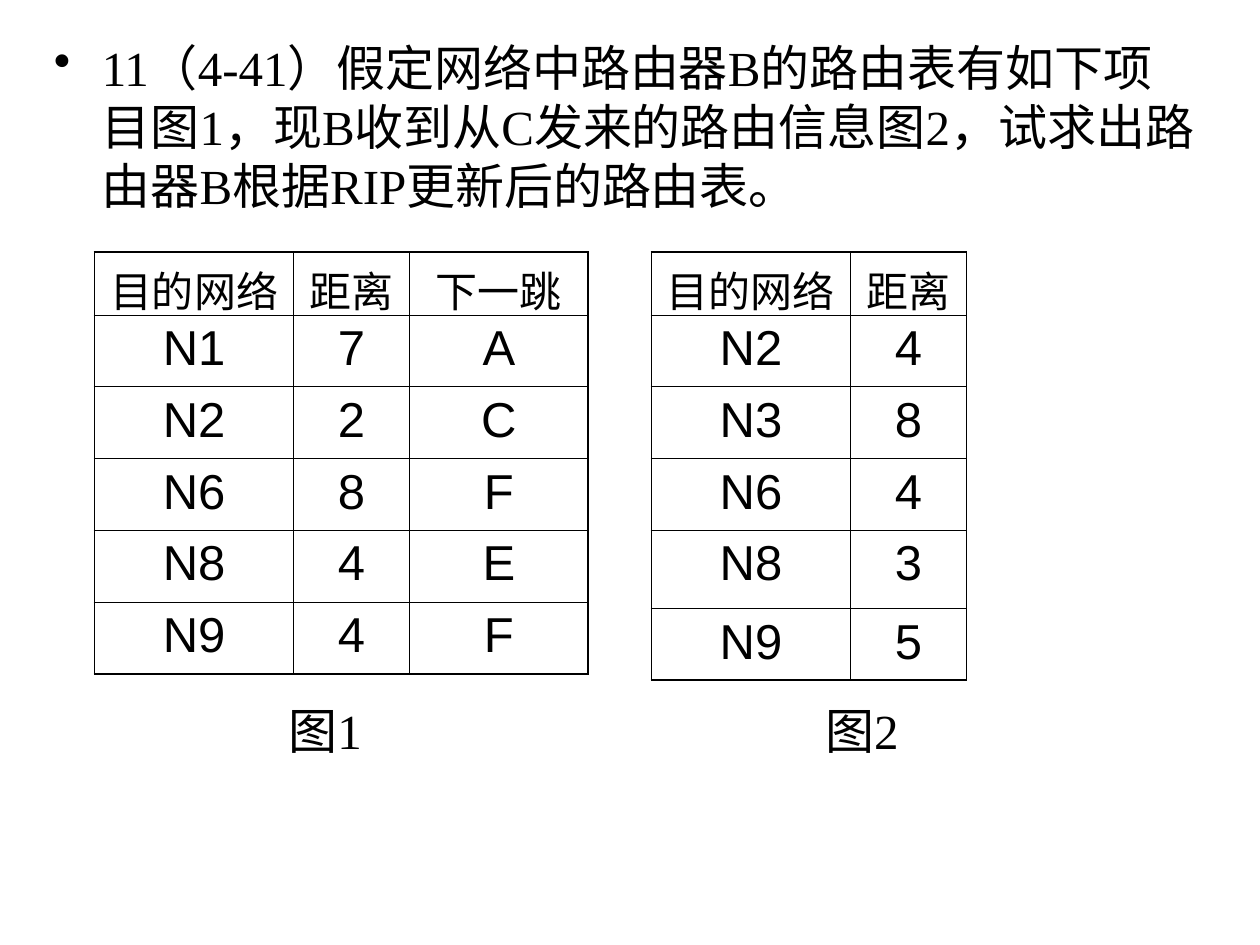
import pptx
import pptx.dml.color
import pptx.enum.text
import pptx.oxml.ns
import pptx.util
from lxml import etree
from pptx.util import Inches

COLORS = {"ink": "000000"}
SERIF = "Times New Roman"
SANS = "Arial"
THICK, THIN = 1.08, 0.45

QUESTION = ("11（4-41）假定网络中路由器B的路由表有如下项目图1，"
            "现B收到从C发来的路由信息图2，试求出路由器B根据RIP更新后的路由表。")
COLUMN_WIDTHS = [1.58, 0.92, 1.42]
TABLE_B = [
    ["目的网络", "距离", "下一跳"],
    ["N1", "7", "A"],
    ["N2", "2", "C"],
    ["N6", "8", "F"],
    ["N8", "4", "E"],
    ["N9", "4", "F"],
]
TABLE_C = [
    ["目的网络", "距离"],
    ["N2", "4"],
    ["N3", "8"],
    ["N6", "4"],
    ["N8", "3"],
    ["N9", "5"],
]


def add_element(parent, tag, **attributes):
    return etree.SubElement(parent, pptx.oxml.ns.qn(tag), attributes)


def style_paragraph(paragraph, font_name, size, space_before=0):
    paragraph.space_before = pptx.util.Pt(space_before)
    for run in paragraph.runs:
        run.font.name = font_name
        run.font.size = pptx.util.Pt(size)
        run.font.color.rgb = pptx.dml.color.RGBColor.from_string(COLORS["ink"])


def add_question(slide, left, top, width, height):
    text_frame = slide.shapes.add_textbox(left, top, width, height).text_frame
    text_frame.word_wrap = True
    text_frame.text = QUESTION
    paragraph = text_frame.paragraphs[0]
    style_paragraph(paragraph, SERIF, 28, space_before=7)
    properties = paragraph._p.get_or_add_pPr()
    properties.set("marL", str(Inches(0.38)))
    properties.set("indent", str(-Inches(0.38)))
    add_element(properties, "a:buChar", char="•")


def set_borders(cell, widths):
    """Draw the left, right, top and bottom lines with the given widths in points."""
    properties = cell._tc.get_or_add_tcPr()
    for index, (side, width) in enumerate(zip("LRTB", widths)):
        line = etree.Element(pptx.oxml.ns.qn(f"a:ln{side}"), w=str(pptx.util.Pt(width)))
        fill = add_element(line, "a:solidFill")
        add_element(fill, "a:srgbClr", val=COLORS["ink"])
        properties.insert(index, line)


def add_routing_table(slide, left, top, rows, row_heights):
    row_count, column_count = len(rows), len(rows[0])
    widths = COLUMN_WIDTHS[:column_count]
    table = slide.shapes.add_table(row_count, column_count, left, top,
                                   Inches(sum(widths)), Inches(sum(row_heights))).table
    table.first_row = False
    table.horz_banding = False
    for column, width in zip(table.columns, widths):
        column.width = Inches(width)
    for row, height in zip(table.rows, row_heights):
        row.height = Inches(height)

    for row_index, values in enumerate(rows):
        size, space_before = (24, 6) if row_index == 0 else (28, 7)
        for column_index, value in enumerate(values):
            cell = table.cell(row_index, column_index)
            cell.text_frame.text = value
            paragraph = cell.text_frame.paragraphs[0]
            paragraph.alignment = pptx.enum.text.PP_ALIGN.CENTER
            style_paragraph(paragraph, SANS, size, space_before)
            cell.fill.background()
            outer_sides = (column_index == 0, column_index == column_count - 1,
                           row_index == 0, row_index == row_count - 1)
            set_borders(cell, [THICK if outer else THIN for outer in outer_sides])


def add_caption(slide, left, top, width, height, caption):
    text_frame = slide.shapes.add_textbox(left, top, width, height).text_frame
    text_frame.word_wrap = False
    text_frame.vertical_anchor = pptx.enum.text.MSO_ANCHOR.MIDDLE
    text_frame.text = caption
    paragraph = text_frame.paragraphs[0]
    paragraph.alignment = pptx.enum.text.PP_ALIGN.CENTER
    style_paragraph(paragraph, SERIF, 28)


def main():
    presentation = pptx.Presentation()
    presentation.slide_width = Inches(10)
    presentation.slide_height = Inches(7.5)
    slide = presentation.slides.add_slide(presentation.slide_layouts[6])

    add_question(slide, Inches(0.33), Inches(0.25), Inches(9.25), Inches(1.5))
    add_routing_table(slide, Inches(0.75), Inches(2), TABLE_B, [0.5] + [0.57] * 5)
    add_routing_table(slide, Inches(5.17), Inches(2), TABLE_C,
                      [0.5, 0.57, 0.57, 0.57, 0.62, 0.57])
    for left, caption in [(2.08, "图1"), (6.34, "图2")]:
        add_caption(slide, Inches(left), Inches(5.5), Inches(1), Inches(0.58), caption)

    presentation.save("out.pptx")


if __name__ == "__main__":
    main()
